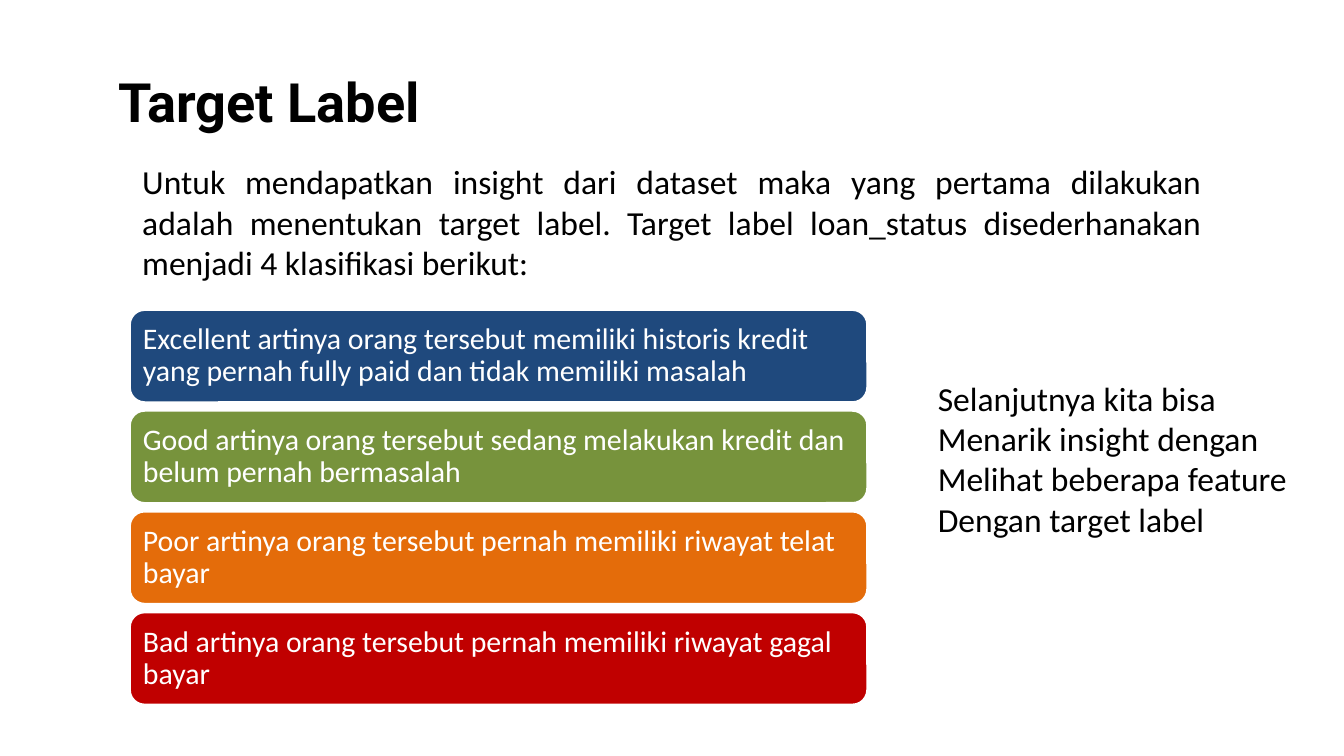
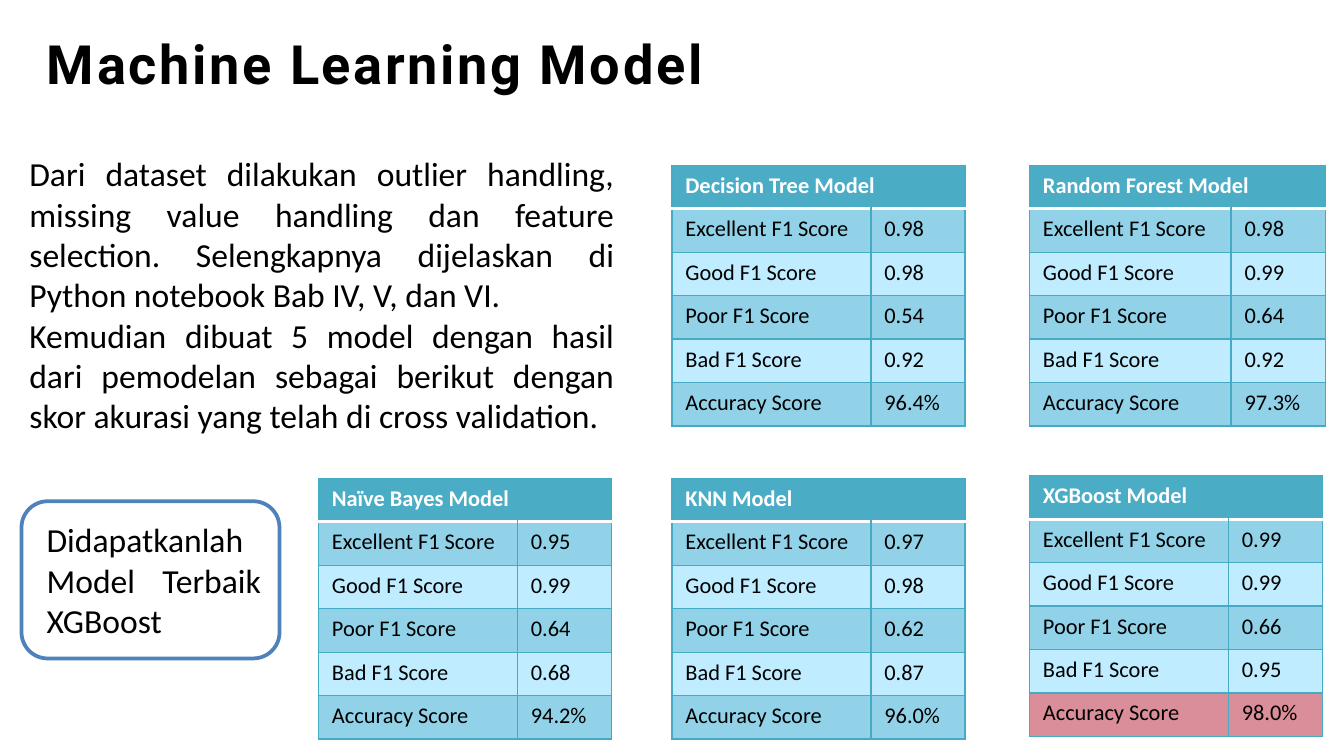
"""Build two slides on loan target labels and machine learning models."""
from dataclasses import dataclass

from lxml.etree import SubElement
from pptx import Presentation
from pptx.dml.color import RGBColor
from pptx.enum.shapes import MSO_SHAPE
from pptx.enum.text import MSO_ANCHOR, PP_ALIGN
from pptx.oxml.ns import qn
from pptx.util import Inches, Pt


@dataclass(frozen=True)
class Theme:
    head: str = "Roboto"
    body: str = "Calibri"
    black: str = "000000"
    white: str = "FFFFFF"
    frame: str = "4F81BD"
    top: str = "4BACC6"
    edge: str = "46AAC5"
    band: str = "91D2E8"
    plain: str = "BFECFF"
    best: str = "D98E99"
    title: float = 29
    text: float = 18
    card: float = 16
    cell: float = 12


THEME = Theme()
INSET = (0.1, 0.05, 0.1, 0.05)

LABELS = [
    ("1F497D", "Excellent artinya orang tersebut memiliki historis kredit yang pernah "
               "fully paid dan tidak memiliki masalah"),
    ("77933C", "Good artinya orang tersebut sedang melakukan kredit dan belum pernah bermasalah"),
    ("E46C0A", "Poor artinya orang tersebut pernah memiliki riwayat telat bayar"),
    ("C00000", "Bad artinya orang tersebut pernah memiliki riwayat gagal bayar"),
]

METRICS = ["Excellent F1 Score", "Good F1 Score", "Poor F1 Score", "Bad F1 Score",
           "Accuracy Score"]

MODELS = [
    ("Decision Tree Model", 5, 1.23, 1.48, ["0.98", "0.98", "0.54", "0.92", "96.4%"]),
    ("Random Forest Model", 7.66, 1.23, 1.5, ["0.98", "0.99", "0.64", "0.92", "97.3%"]),
    ("KNN Model", 5, 3.56, 1.48, ["0.97", "0.98", "0.62", "0.87", "96.0%"]),
    ("XGBoost Model", 7.66, 3.54, 1.48, ["0.99", "0.99", "0.66", "0.95", "98.0%"]),
    ("Naïve Bayes Model", 2.37, 3.56, 1.48, ["0.95", "0.99", "0.64", "0.68", "94.2%"]),
]
WINNER = "XGBoost Model"


def rgb(color):
    return RGBColor.from_string(color)


def write(frame, text, size, color=THEME.black, font=THEME.body, bold=False,
          align=PP_ALIGN.LEFT):
    frame.text = text
    for para in frame.paragraphs:
        para.alignment = align
        for run in para.runs:
            run.font.size = Pt(size)
            run.font.name = font
            run.font.bold = bold
            run.font.color.rgb = rgb(color)


def pad(frame, inset):
    frame.word_wrap = True
    (frame.margin_left, frame.margin_top,
     frame.margin_right, frame.margin_bottom) = map(Inches, inset)


def add_text(slide, box, text, inset=INSET, **style):
    frame = slide.shapes.add_textbox(*map(Inches, box)).text_frame
    pad(frame, inset)
    write(frame, text, **style)
    return frame


def add_title(slide, box, text, spacing=0):
    frame = add_text(slide, box, text, inset=(0, 0.01, 0, 0), size=THEME.title,
                     font=THEME.head, bold=True)
    if spacing:
        props = frame.paragraphs[0].runs[0].font._element
        props.set("spc", str(round(spacing * 100)))


def add_body(slide, box, text):
    add_text(slide, box, text, size=THEME.text, align=PP_ALIGN.JUSTIFY)


def add_panel(slide, box, line, inset, fill=None):
    shape = slide.shapes.add_shape(MSO_SHAPE.ROUNDED_RECTANGLE, *map(Inches, box))
    shape.shadow.inherit = False
    if fill:
        shape.fill.solid()
        shape.fill.fore_color.rgb = rgb(fill)
    else:
        shape.fill.background()
    shape.line.color.rgb = rgb(line)
    shape.line.width = Pt(2)
    frame = shape.text_frame
    pad(frame, inset)
    frame.vertical_anchor = MSO_ANCHOR.MIDDLE
    return frame


def add_cards(slide):
    for index, (fill, text) in enumerate(LABELS):
        box = (0.96, 2.3 + index * 0.75, 5.5, 0.7)
        frame = add_panel(slide, box, THEME.white, (0.07,) * 4, fill)
        write(frame, text, THEME.card, THEME.white)
        frame.paragraphs[0].line_spacing = 0.9


def add_edge(cell, side, color, width):
    line = SubElement(cell._tc.get_or_add_tcPr(), qn(f"a:ln{side}"), w=str(Pt(width)))
    fill = SubElement(line, qn("a:solidFill"))
    SubElement(fill, qn("a:srgbClr"), val=color)


def style_cell(cell, row, fill):
    for side in "LRTB":
        rule = (row, side) in ((0, "B"), (1, "T"))
        add_edge(cell, side, *((THEME.white, 2) if rule else (THEME.edge, 0.75)))
    cell.fill.solid()
    cell.fill.fore_color.rgb = rgb(fill)


def add_scores(slide, name, left, top, wide, scores):
    rows = [(name, ""), *zip(METRICS, scores)]
    widths = (wide, 0.7)
    table = slide.shapes.add_table(len(rows), 2, Inches(left), Inches(top),
                                   Inches(sum(widths)), Inches(1.94)).table
    table.horz_banding = False
    for column, width in zip(table.columns, widths):
        column.width = Inches(width)
    for row, texts in enumerate(rows):
        fill = THEME.band if row % 2 else THEME.plain
        if row == 0:
            fill = THEME.top
        elif name == WINNER and row == len(METRICS):
            fill = THEME.best
        for col, text in enumerate(texts):
            cell = table.cell(row, col)
            style_cell(cell, row, fill)
            write(cell.text_frame, text, THEME.cell,
                  THEME.black if row else THEME.white, bold=row == 0)
    table.cell(0, 0).merge(table.cell(0, 1))


def add_label_slide(slide):
    add_title(slide, (0.88, 0.5, 4.4, 0.5), "Target Label")
    add_cards(slide)
    add_body(slide, (0.96, 1.15, 8.08, 1.31),
             "Untuk mendapatkan insight dari dataset maka yang pertama dilakukan adalah "
             "menentukan target label. Target label loan_status disederhanakan menjadi 4 "
             "klasifikasi berikut:")
    add_body(slide, (6.88, 2.76, 3.04, 1.31),
             "Selanjutnya kita bisa\nMenarik insight dengan\n"
             "Melihat beberapa feature\nDengan target label")


def add_model_slide(slide):
    add_title(slide, (0.35, 0.22, 6.43, 0.5), "Machine Learning Model", spacing=1.4)
    add_body(slide, (0.12, 1.09, 4.55, 2.22),
             "Dari dataset dilakukan outlier handling, missing value handling dan feature "
             "selection. Selengkapnya dijelaskan di Python notebook Bab IV, V, dan VI.\n"
             "Kemudian dibuat 5 model dengan hasil dari pemodelan sebagai berikut dengan "
             "skor akurasi yang telah di cross validation.")
    for model in MODELS:
        add_scores(slide, *model)
    frame = add_panel(slide, (0.16, 3.73, 1.92, 1.17), THEME.frame,
                      (0.13, 0.05, 0.08, 0.05))
    write(frame, "Didapatkanlah Model Terbaik XGBoost", THEME.text,
          align=PP_ALIGN.JUSTIFY)


def main():
    deck = Presentation()
    deck.slide_width = Inches(10)
    deck.slide_height = Inches(10) * 9 // 16
    blank = deck.slide_layouts[6]
    for build in (add_label_slide, add_model_slide):
        build(deck.slides.add_slide(blank))
    deck.save("out.pptx")


if __name__ == "__main__":
    main()
